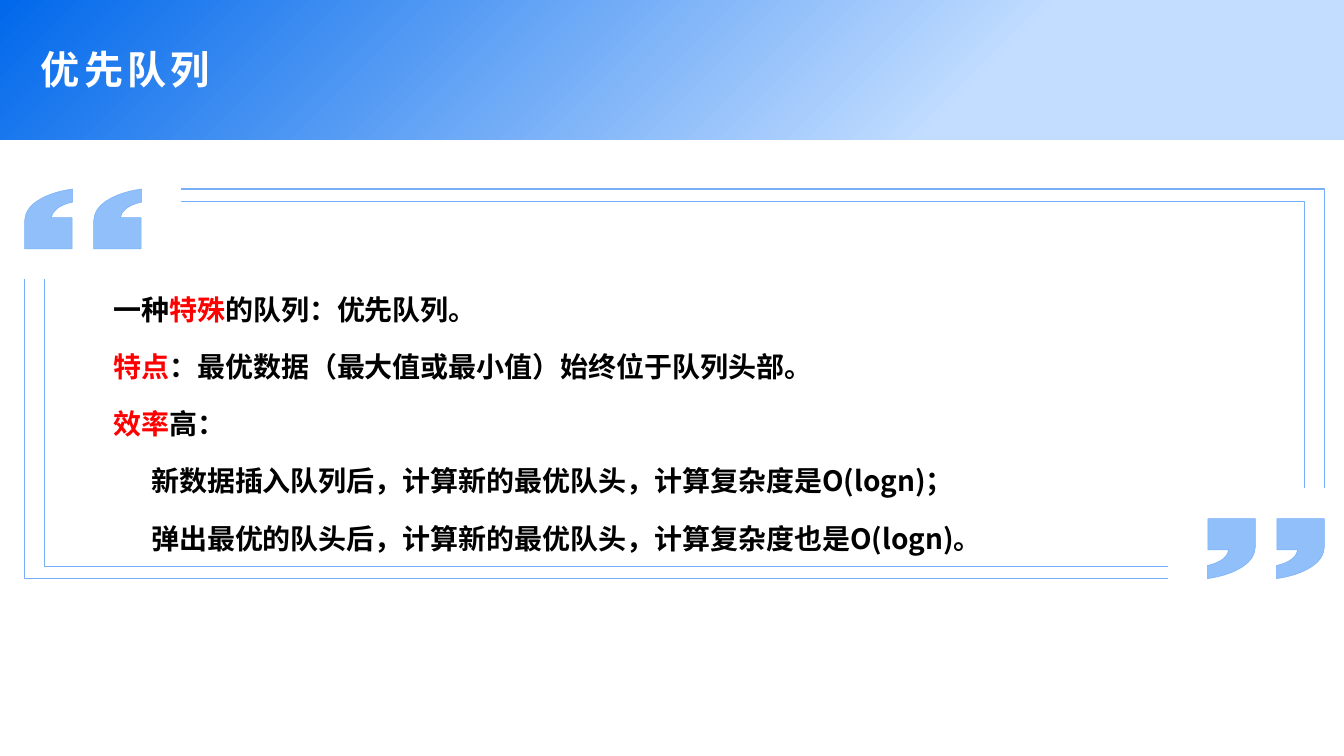
from lxml.etree import SubElement
from pptx import Presentation
from pptx.dml.color import RGBColor
from pptx.enum.shapes import MSO_SHAPE
from pptx.enum.text import MSO_ANCHOR
from pptx.oxml import parse_xml
from pptx.oxml.ns import nsdecls, qn
from pptx.util import Inches, Pt

FONT = "Noto Sans CJK SC"
BLUE = RGBColor(0x01, 0x68, 0xEB)
PALE = RGBColor(0xC2, 0xDD, 0xFF)
LINE = RGBColor(0x78, 0xB0, 0xF7)
QUOTE = RGBColor(0x91, 0xBF, 0xFA)
WHITE = RGBColor(0xFF, 0xFF, 0xFF)
BLACK = RGBColor(0, 0, 0)
RED = RGBColor(0xFF, 0, 0)

MARK = [(0.95, 0), (0.95, 0.26),
        (0.81, 0.29), (0.7, 0.34), (0.63, 0.4),
        (0.56, 0.47), (0.53, 0.52), (0.53, 0.57),
        (0.94, 0.57), (0.94, 1.19), (0, 1.19), (0, 0.62),
        (0.01, 0.47), (0.09, 0.34), (0.26, 0.23),
        (0.43, 0.12), (0.66, 0.04), (0.95, 0)]
MARK_SEGMENTS = "LCCLLLLCC"

BODY = [
    (0, [("一种", BLACK), ("特殊", RED), ("的队列：优先队列。", BLACK)]),
    (0, [("特点", RED), ("：最优数据（最大值或最小值）始终位于队列头部。", BLACK)]),
    (0, [("效率", RED), ("高：", BLACK)]),
    (0.75, [("新数据插入队列后，计算新的最优队头，计算复杂度是O(logn)；", BLACK)]),
    (0.75, [("弹出最优的队头后，计算新的最优队头，计算复杂度也是O(logn)。", BLACK)]),
]


def bend(sp, segments):
    """Turn each run of three points marked C into one cubic curve."""
    lines = iter(list(sp._element.iter(qn("a:lnTo"))))
    for kind in segments:
        first = next(lines)
        if kind == "C":
            cubic = parse_xml(f"<a:cubicBezTo {nsdecls('a')}/>")
            first.addprevious(cubic)
            for line in (first, next(lines), next(lines)):
                cubic.append(line[0])
                line.getparent().remove(line)


def add_outline(shapes, contours, width, fill=None):
    """Draw contours as one freeform, closed only when filled."""
    emu = [[(Inches(x), Inches(y)) for x, y in c] for c in contours]
    builder = shapes.build_freeform(*emu[0][0], scale=1.0)
    for i, points in enumerate(emu):
        if i:
            builder.move_to(*points[0])
        builder.add_line_segments(points[1:], close=fill is not None)
    sp = builder.convert_to_shape()
    sp.shadow.inherit = False
    sp.line.color.rgb = LINE
    sp.line.width = Pt(width)
    if fill is None:
        sp.fill.background()
    else:
        sp.fill.solid()
        sp.fill.fore_color.rgb = fill
    return sp


def add_frame(s, x, y, w, h):
    """Draw a double frame with quote marks, symmetric under a half turn."""
    shapes = s.shapes.add_group_shape().shapes
    marks = [[(px + dx, py) for px, py in MARK] for dx in (1.37, 0)]
    for turned in (False, True):
        def place(points):
            """Move points into the box, turned for the lower half."""
            return [(x + w - px, y + h - py) if turned else (x + px, y + py)
                    for px, py in points]
        for dx, dy, width in ((0, 0, 2), (0.39, 0.25, 1)):
            corner = [(w - dx, 5.94), (w - dx, dy), (3.11, dy)]
            add_outline(shapes, [place(corner)], width)
        sp = add_outline(shapes, [place(m) for m in marks], 0.75, QUOTE)
        bend(sp, MARK_SEGMENTS * len(marks))


def add_run(p, text, color, size):
    """Append a bold run in the slide font."""
    r = p.add_run()
    r.text = text
    for name, value in {"name": FONT, "size": Pt(size), "bold": True}.items():
        setattr(r.font, name, value)
    r.font.color.rgb = color
    SubElement(r.font._element, qn("a:ea"), typeface=FONT)
    return r


def add_header(s, x, y, w, h):
    """Draw the gradient band with the slide title."""
    sp = s.shapes.add_shape(MSO_SHAPE.RECTANGLE, Inches(x), Inches(y), Inches(w), Inches(h))
    sp.shadow.inherit = False
    sp.line.fill.background()
    sp.fill.gradient()
    sp.fill.gradient_angle = 315
    for stop, (position, color) in zip(sp.fill.gradient_stops, ((0, BLUE), (0.72, PALE))):
        stop.position = position
        stop.color.rgb = color
    tf = s.shapes.add_textbox(Inches(x + 0.71), Inches(y + 0.84),
                              Inches(19.08), Inches(1.04)).text_frame
    tf.word_wrap = True
    tf.vertical_anchor = MSO_ANCHOR.MIDDLE
    r = add_run(tf.paragraphs[0], "优先队列", WHITE, 56)
    r.font._element.set("spc", "600")


def add_body(s, x, y, w, h):
    """Write the description paragraphs."""
    tf = s.shapes.add_textbox(Inches(x), Inches(y), Inches(w), Inches(h)).text_frame
    tf.word_wrap = True
    for i, (indent, runs) in enumerate(BODY):
        p = tf.add_paragraph() if i else tf.paragraphs[0]
        p.line_spacing = 1.7
        if indent:
            p._p.get_or_add_pPr().set("marL", str(Inches(indent)))
        for text, color in runs:
            add_run(p, text, color, 40)


def main():
    """Build the slide and save it."""
    prs = Presentation()
    prs.slide_width, prs.slide_height = Inches(26.67), Inches(15)
    s = prs.slides.add_slide(prs.slide_layouts[6])
    add_header(s, 0, 0, 26.67, 2.76)
    add_body(s, 2.15, 5.29, 23.15, 5.82)
    add_frame(s, 0.49, 3.75, 25.79, 7.73)
    prs.save("out.pptx")


if __name__ == "__main__":
    main()
